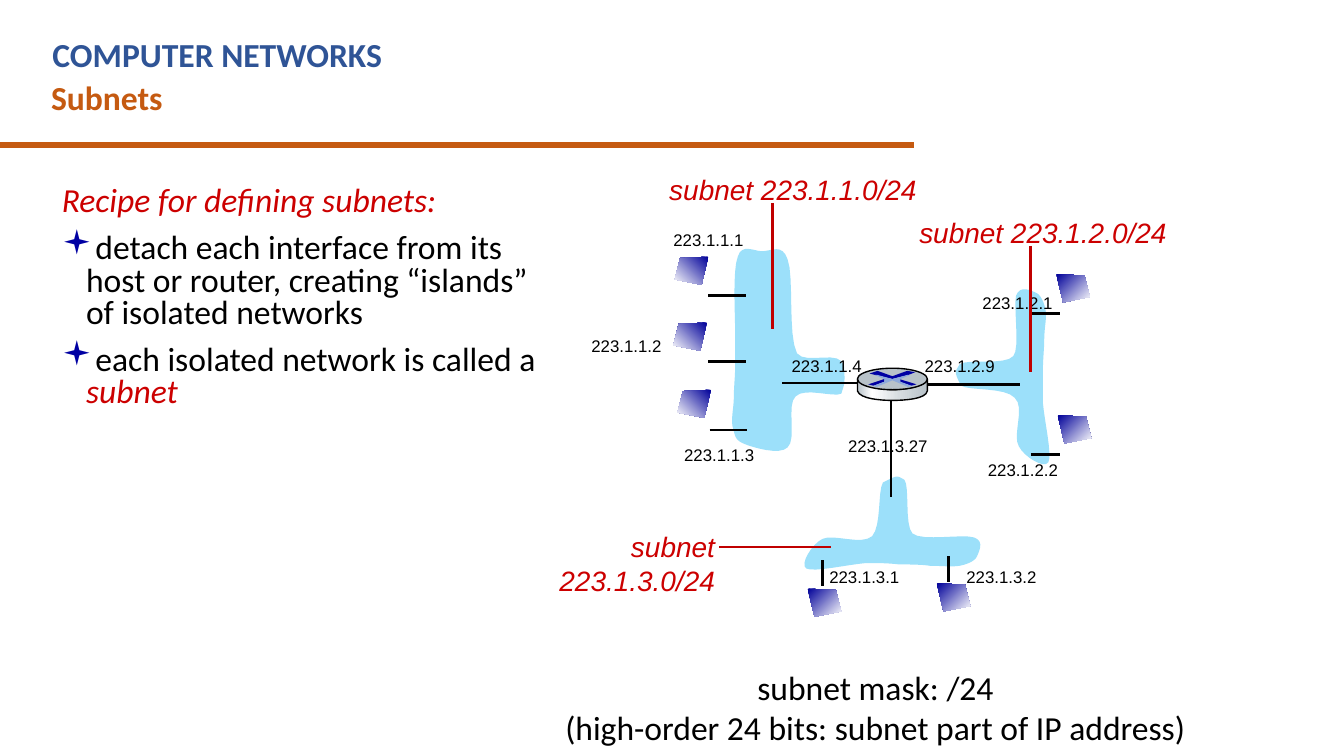
import pptx
import pptx.util
import pptx.dml.color
import pptx.enum.shapes
import pptx.enum.text
import pptx.oxml
import pptx.oxml.ns
from lxml import etree

Inches = pptx.util.Inches
Pt = pptx.util.Pt
RGB = pptx.dml.color.RGBColor.from_string
Align = pptx.enum.text.PP_ALIGN
qn = pptx.oxml.ns.qn

THEME = {
    "blue": "2F5496", "orange": "C55A11", "red": "CC0000", "pointer": "C00000",
    "black": "000000", "cloud": "9CE0FA", "bullet": "0000A3",
    "router": "B8C2C9", "arrow": "0000A3", "cross": "8DA9DB",
    "host_shade": [(0, "000099"), (100, "FFFFFF")],
    "router_shade": [(0, "B8C2C9"), (21, "FFFFFF"), (60, "D6DCE0"), (100, "B8C2C9")],
    "body": 18, "subnet": 15, "address": 9,
    "text_font": "Calibri", "label_font": "Arial", "bullet_font": "Wingdings",
}

deck = pptx.Presentation()
deck.slide_width = Inches(10)
deck.slide_height = deck.slide_width * 9 // 16
page = deck.slides.add_slide(deck.slide_layouts[6])
shapes = page.shapes


def add_text(text, left, top, width, height, size, font, color,
             bold=False, italic=False, align=Align.LEFT):
    box = shapes.add_textbox(Inches(left), Inches(top), Inches(width), Inches(height))
    frame = box.text_frame
    frame.word_wrap = True
    frame.margin_left = frame.margin_right = Inches(0.07)
    frame.margin_top = frame.margin_bottom = Inches(0.04)
    frame.text = text
    for para in frame.paragraphs:
        para.alignment = align
        for span in para.runs:
            span.font.size, span.font.name = Pt(THEME[size]), THEME[font]
            span.font.color.rgb = RGB(THEME[color])
            span.font.bold, span.font.italic = bold, italic
    return frame


def add_outline(points, fill, curved=False, angle=0):
    """Closed outline; curved points are a start followed by Bezier triples."""
    if curved:
        corners = points[:1]
        for i in range(0, len(points) - 1, 3):
            a, b, c, d = points[i:i + 4]
            for t in [step / 8 for step in range(1, 9)]:
                weights = (1 - t) ** 3, 3 * t * (1 - t) ** 2, 3 * t * t * (1 - t), t ** 3
                corners = corners + [tuple(
                    sum(w * p[axis] for w, p in zip(weights, (a, b, c, d)))
                    for axis in (0, 1))]
        points = corners
    points = [(Inches(x), Inches(y)) for x, y in points]
    builder = shapes.build_freeform(*points[0], scale=1.0)
    builder.add_line_segments(points[1:], close=True)
    shape = builder.convert_to_shape()
    shape.shadow.inherit = False
    shape.line.fill.background()
    if isinstance(THEME[fill], str):
        shape.fill.solid()
        shape.fill.fore_color.rgb = RGB(THEME[fill])
    else:
        shape.fill.gradient()
        shape.fill.gradient_angle = angle
        stops = next(shape.element.iter(qn("a:gsLst")))
        for stop in list(stops):
            stops.remove(stop)
        for percent, color in THEME[fill]:
            stop = etree.SubElement(stops, qn("a:gs"), pos=str(percent * 1000))
            etree.SubElement(stop, qn("a:srgbClr"), val=color)
    return shape


# Header
add_text("COMPUTER NETWORKS", 0.32, 0.21, 6.15, 0.38, "body", "text_font", "blue", bold=True)
add_text("Subnets", 0.31, 0.53, 6.56, 0.38, "body", "text_font", "orange", bold=True)

# Recipe
recipe = add_text(
    "Recipe for defining subnets:\n"
    "detach each interface from its host or router, creating “islands” of isolated networks\n"
    "each isolated network is called a ",
    0.28, 1.35, 3.89, 2.11, "body", "text_font", "black")
for number, para in enumerate(recipe.paragraphs):
    para.line_spacing = 0.8
    props = para._p.get_or_add_pPr()
    props.set("marL", str(Inches(0.29)))
    props.set("indent", str(Inches(-0.18)))
    if number:
        para.space_before = Pt(8)
        bullet_color = etree.SubElement(props, qn("a:buClr"))
        etree.SubElement(bullet_color, qn("a:srgbClr"), val=THEME["bullet"])
        etree.SubElement(props, qn("a:buFont"), typeface=THEME["bullet_font"])
        etree.SubElement(props, qn("a:buChar"), char="▪")
heading = recipe.paragraphs[0].runs[0]
term = recipe.paragraphs[2].add_run()
term.text = "subnet"
term.font.size, term.font.name = Pt(THEME["body"]), THEME["text_font"]
for span in (heading, term):
    span.font.italic = True
    span.font.color.rgb = RGB(THEME["red"])

# Subnet clouds
bottom_cloud = [
    (6.57, 3.59), (6.53, 3.66), (6.56, 3.91), (6.49, 3.99), (6.41, 4.06), (6.2, 3.97),
    (6.12, 4.01), (6.04, 4.05), (5.95, 4.2), (6, 4.23), (6.05, 4.26), (6.32, 4.2),
    (6.44, 4.19), (6.55, 4.19), (6.61, 4.19), (6.69, 4.2), (6.77, 4.2), (6.85, 4.2),
    (6.92, 4.21), (7, 4.21), (7.08, 4.22), (7.14, 4.21), (7.19, 4.2), (7.25, 4.18),
    (7.27, 4.14), (7.28, 4.11), (7.33, 4.03), (7.25, 4), (7.17, 3.97), (6.86, 4.03),
    (6.79, 3.97), (6.73, 3.91), (6.77, 3.62), (6.73, 3.57), (6.67, 3.54), (6.69, 3.53),
    (6.57, 3.59)]
right_cloud = [
    (7.15, 2.87), (7.22, 2.91), (7.48, 2.88), (7.55, 2.96), (7.63, 3.03), (7.53, 3.24),
    (7.58, 3.32), (7.62, 3.4), (7.77, 3.49), (7.8, 3.44), (7.83, 3.39), (7.77, 3.12),
    (7.76, 3), (7.76, 2.89), (7.76, 2.83), (7.76, 2.75), (7.76, 2.67), (7.77, 2.59),
    (7.77, 2.52), (7.77, 2.44), (7.79, 2.36), (7.78, 2.31), (7.77, 2.25), (7.74, 2.19),
    (7.71, 2.18), (7.67, 2.16), (7.59, 2.12), (7.56, 2.2), (7.54, 2.28), (7.59, 2.59),
    (7.54, 2.65), (7.48, 2.72), (7.19, 2.67), (7.14, 2.71), (7.11, 2.77), (7.09, 2.75),
    (7.15, 2.87)]
left_cloud = [
    (6.28, 2.73), (6.26, 2.59), (6, 2.72), (5.93, 2.63), (5.86, 2.49), (5.91, 2.06),
    (5.86, 1.93), (5.82, 1.81), (5.74, 1.87), (5.67, 1.87), (5.61, 1.87), (5.52, 1.81),
    (5.49, 1.91), (5.45, 2.01), (5.47, 2.34), (5.47, 2.47), (5.47, 2.61), (5.47, 2.65),
    (5.47, 2.73), (5.47, 2.81), (5.46, 2.88), (5.46, 2.96), (5.46, 3.03), (5.44, 3.11),
    (5.45, 3.17), (5.47, 3.23), (5.46, 3.27), (5.53, 3.3), (5.6, 3.33), (5.8, 3.39),
    (5.86, 3.33), (5.93, 3.27), (5.85, 3.01), (5.92, 2.95), (5.99, 2.88), (6.2, 2.96),
    (6.26, 2.93), (6.28, 2.86), (6.29, 2.87), (6.28, 2.73)]
for cloud in (bottom_cloud, right_cloud, left_cloud):
    add_outline(cloud, "cloud", curved=True)

# Interface addresses
for address, left, top in [
        ("223.1.1.1", 4.94, 1.67), ("223.1.1.2", 4.33, 2.46), ("223.1.1.3", 5.02, 3.27),
        ("223.1.1.4", 5.82, 2.61), ("223.1.2.9", 6.81, 2.61), ("223.1.2.2", 7.28, 3.38),
        ("223.1.2.1", 7.24, 2.14), ("223.1.3.2", 7.12, 4.18), ("223.1.3.1", 6.1, 4.18),
        ("223.1.3.27", 6.24, 3.2)]:
    width = 0.78 if len(address) > 9 else 0.68
    add_text(address, left, top, width, 0.23, "address", "label_font", "black")

# Header rule, links and subnet pointers
links = [
    (6.63, 2.98, 6.63, 3.7), (5.82, 2.85, 6.47, 2.85), (6.79, 2.86, 7.59, 2.86),
    (5.27, 2.2, 5.55, 2.2), (5.27, 2.69, 5.55, 2.69), (5.28, 3.2, 5.56, 3.2),
    (7.67, 2.33, 7.89, 2.33), (7.67, 3.38, 7.89, 3.38),
    (6.12, 4.17, 6.12, 4.36), (7.06, 4.14, 7.06, 4.33)]
pointers = [
    (5.35, 4.07, 6.18, 4.07, 1.25), (5.75, 1.51, 5.75, 2.45, 1.5),
    (7.67, 1.83, 7.67, 2.77, 1.5)]
lines = [((-0.01, 1.08, 6.8, 1.08), "orange", 3)]
lines += [(ends, "black", 1.5) for ends in links]
lines += [(ends, "pointer", weight) for *ends, weight in pointers]
for ends, color, weight in lines:
    line = shapes.add_connector(pptx.enum.shapes.MSO_CONNECTOR.STRAIGHT, *map(Inches, ends))
    line.line.color.rgb = RGB(THEME[color])
    line.line.width = Pt(weight)
    etree.SubElement(line.element.spPr, qn("a:effectLst"))

# Hosts; those on the left are mirrored
host = [(0, 0), (0.21, 0.01), (0.25, 0.17), (0.05, 0.21)]
for left, top, mirrored in [
        (5.02, 1.91, True), (5.01, 2.4, True), (5.04, 2.9, True),
        (7.86, 2.04, False), (7.87, 3.09, False), (6.97, 4.34, False), (6.01, 4.38, False)]:
    corners = [(left + (0.25 - x if mirrored else x), top + y) for x, y in host]
    add_outline(corners, "host_shade", angle=225 if mirrored else 315)

# Router
side = add_outline([
    (6.9, 2.91), (6.89, 2.97), (6.73, 2.98), (6.64, 2.98), (6.56, 2.98), (6.4, 2.97),
    (6.38, 2.91), (6.38, 2.89), (6.38, 2.85), (6.38, 2.82), (6.4, 2.87), (6.55, 2.9),
    (6.64, 2.9), (6.73, 2.9), (6.88, 2.88), (6.9, 2.82)], "router_shade", curved=True)
lid = shapes.add_shape(pptx.enum.shapes.MSO_SHAPE.OVAL,
                       Inches(6.38), Inches(2.74), Inches(0.52), Inches(0.16))
lid.shadow.inherit = False
lid.fill.solid()
lid.fill.fore_color.rgb = RGB(THEME["router"])
for part in (side, lid):
    part.line.color.rgb = RGB(THEME["black"])
    part.line.width = Pt(0.75)
add_outline([(6.75, 2.76), (6.81, 2.77), (6.76, 2.79), (6.64, 2.82), (6.51, 2.79),
             (6.47, 2.78), (6.53, 2.76), (6.64, 2.8)], "arrow")
add_outline([(6.69, 2.82), (6.82, 2.86), (6.78, 2.87), (6.69, 2.84)], "arrow")
add_outline([(6.58, 2.82), (6.58, 2.84), (6.5, 2.87), (6.46, 2.86)], "arrow")
add_outline([(6.51, 2.79), (6.53, 2.79), (6.64, 2.82), (6.75, 2.79), (6.77, 2.79),
             (6.7, 2.82), (6.7, 2.84), (6.78, 2.87), (6.76, 2.88), (6.64, 2.83),
             (6.52, 2.88), (6.5, 2.87), (6.58, 2.84), (6.58, 2.82)], "cross")

# Subnet names and mask
for name, left, top, width, height, align in [
        ("subnet\n223.1.3.0/24", 4.07, 3.9, 1.32, 0.58, Align.RIGHT),
        ("subnet 223.1.1.0/24", 4.91, 1.24, 2.04, 0.33, Align.LEFT),
        ("subnet 223.1.2.0/24", 6.77, 1.56, 2.04, 0.33, Align.LEFT)]:
    add_text(name, left, top, width, height, "subnet", "label_font", "red",
             italic=True, align=align)
add_text("subnet mask: /24\n(high-order 24 bits: subnet part of IP address)",
         4.11, 4.92, 4.81, 0.68, "body", "text_font", "black", align=Align.CENTER)

deck.save("out.pptx")
